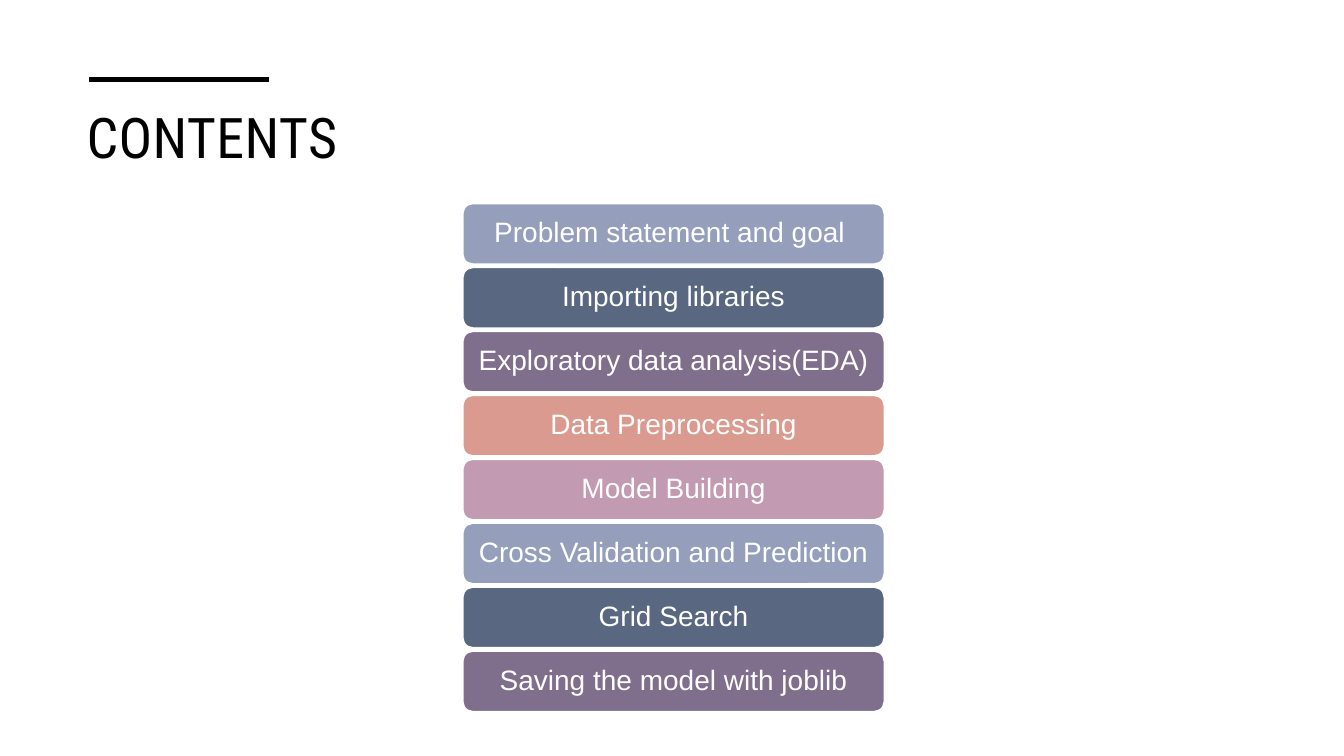
from pptx import Presentation
from pptx import util as u
from pptx.dml.color import RGBColor
from pptx.enum import shapes, text
from pptx.oxml import parse_xml
from pptx.oxml.ns import nsdecls

TITLE = "CONTENTS"
TOPICS = [
    "Problem statement and goal\u00a0".replace("\u00a0", " "),
    "Importing libraries",
    "Exploratory data analysis(EDA)",
    "Data Preprocessing",
    "Model Building",
    "Cross Validation and Prediction",
    "Grid Search",
    "Saving the model with joblib",
]
BAR_COLOURS = ["959EBB", "596781", "7F6E8C", "DB9A8F", "C29AB1"]
BLACK, WHITE = "000000", "FFFFFF"

SLIDE_SIZE = (13.33, 7.5)
TITLE_BOX = (0.76, 0.97, 11.81, 1.15)
RULE_LEFT, RULE_RIGHT, RULE_TOP = 0.88, 2.67, 0.79
BAR_LEFT, BAR_WIDTH, BAR_HEIGHT = 4.59, 4.18, 0.6
FIRST_TOP, LAST_TOP = 2.02, 6.46
BAR_PITCH = (LAST_TOP - FIRST_TOP) / (len(TOPICS) - 1)

TITLE_FONT = {"name": "Roboto Condensed", "size": u.Pt(40)}
BAR_FONT = {"name": "Arial", "size": u.Pt(20)}
BAR_FRAME = {
    "word_wrap": True,
    "vertical_anchor": text.MSO_ANCHOR.MIDDLE,
    "margin_left": u.Inches(0.1),
    "margin_right": u.Inches(0.1),
    "margin_top": u.Inches(0.07),
    "margin_bottom": u.Inches(0.07),
}
BAR_PARAGRAPH = {"alignment": text.PP_ALIGN.CENTER, "line_spacing": 0.9}


def colour(hex_value):
    return RGBColor.from_string(hex_value)


def inches(*lengths):
    return [u.Inches(length) for length in lengths]


def set_attributes(target, values):
    for name, value in values.items():
        setattr(target, name, value)


def add_run(paragraph, words, font_values, hex_value):
    run = paragraph.add_run()
    run.text = words
    set_attributes(run.font, font_values)
    run.font.color.rgb = colour(hex_value)
    return run


def add_title(slide):
    frame = slide.shapes.add_textbox(*inches(*TITLE_BOX)).text_frame
    frame.word_wrap = True
    run = add_run(frame.paragraphs[0], TITLE, TITLE_FONT, BLACK)
    run._r.get_or_add_rPr().set("spc", "30")


def add_rule(slide):
    rule = slide.shapes.add_connector(
        shapes.MSO_CONNECTOR.STRAIGHT,
        *inches(RULE_LEFT, RULE_TOP, RULE_RIGHT, RULE_TOP))
    rule.line.color.rgb = colour(BLACK)
    rule.line.width = u.Pt(3.5)
    rule._element.spPr.append(parse_xml(f"<a:effectLst {nsdecls('a')}/>"))


def add_topic_bar(slide, index, topic):
    top = FIRST_TOP + index * BAR_PITCH
    bar = slide.shapes.add_shape(
        shapes.MSO_SHAPE.ROUNDED_RECTANGLE,
        *inches(BAR_LEFT, top, BAR_WIDTH, BAR_HEIGHT))
    bar.shadow.inherit = False
    bar.fill.solid()
    bar.fill.fore_color.rgb = colour(BAR_COLOURS[index % len(BAR_COLOURS)])
    bar.line.color.rgb = colour(WHITE)
    bar.line.width = u.Pt(1)
    set_attributes(bar.text_frame, BAR_FRAME)
    paragraph = bar.text_frame.paragraphs[0]
    set_attributes(paragraph, BAR_PARAGRAPH)
    add_run(paragraph, topic, BAR_FONT, WHITE)


def main():
    presentation = Presentation()
    presentation.slide_width, presentation.slide_height = inches(*SLIDE_SIZE)
    slide = presentation.slides.add_slide(presentation.slide_layouts[6])
    add_title(slide)
    add_rule(slide)
    for index, topic in enumerate(TOPICS):
        add_topic_bar(slide, index, topic)
    presentation.save("out.pptx")


if __name__ == "__main__":
    main()
